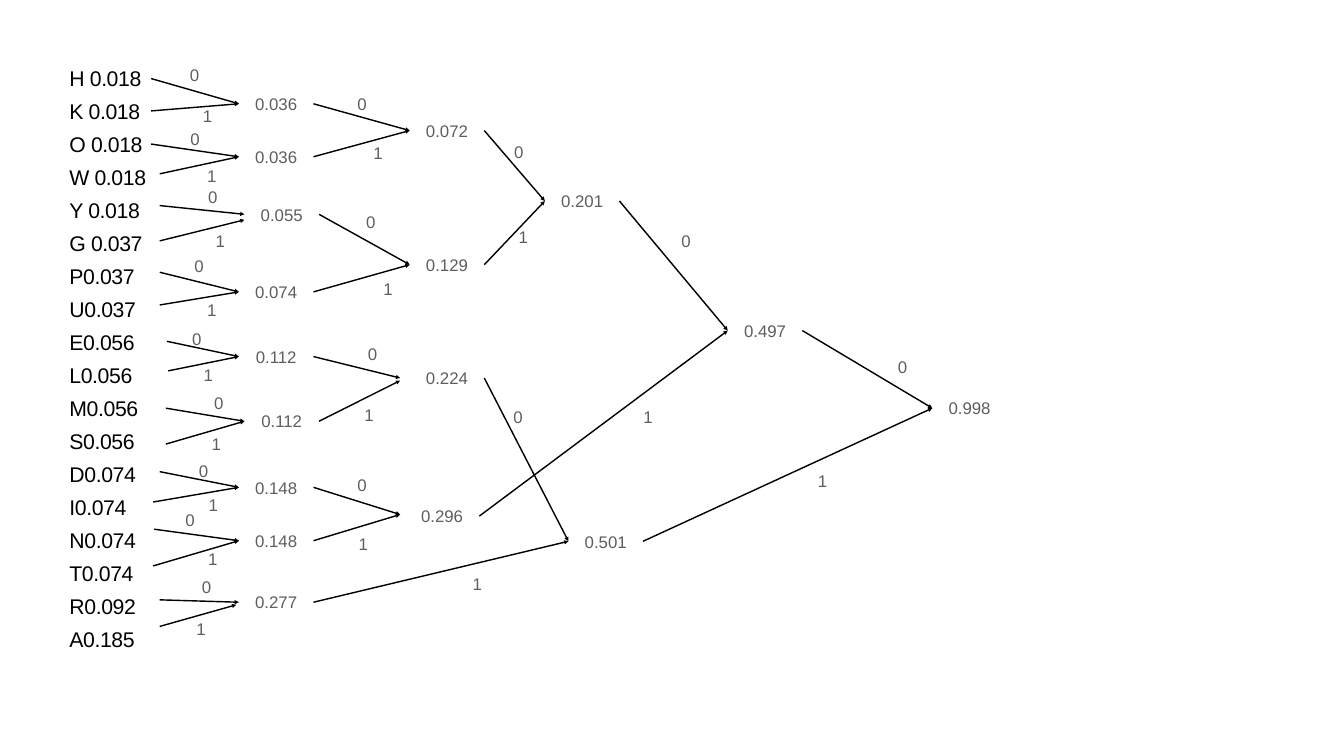
from lxml import etree
from pptx import Presentation
from pptx.dml.color import RGBColor
from pptx.enum.shapes import MSO_CONNECTOR
from pptx.enum.text import MSO_ANCHOR, MSO_AUTO_SIZE, PP_ALIGN
from pptx.oxml.ns import qn
from pptx.util import Cm, Pt

STRAIGHT = MSO_CONNECTOR.STRAIGHT
TOP, MIDDLE = MSO_ANCHOR.TOP, MSO_ANCHOR.MIDDLE
FIXED, GROW = MSO_AUTO_SIZE.NONE, MSO_AUTO_SIZE.SHAPE_TO_FIT_TEXT
LEFT, CENTER = PP_ALIGN.LEFT, PP_ALIGN.CENTER

NODE_W, BIT_W, BOX_H = 3.76, 0.76, 1.32

NODES = {
    "HK": ("0.036", 12.04, 5.23),
    "OW": ("0.036", 12.04, 7.9),
    "YG": ("0.055", 12.32, 10.8),
    "PU": ("0.074", 12.04, 14.71),
    "EL": ("0.112", 12.04, 17.97),
    "MS": ("0.112", 12.32, 21.23),
    "DI": ("0.148", 12.04, 24.56),
    "NT": ("0.148", 12.04, 27.25),
    "RA": ("0.277", 12.04, 30.35),
    "HW": ("0.072", 20.65, 6.58),
    "YU": ("0.129", 20.65, 13.34),
    "ES": ("0.224", 20.65, 19.05),
    "DT": ("0.296", 20.4, 26.01),
    "HU": ("0.201", 27.46, 10.13),
    "EA": ("0.501", 28.65, 27.28),
    "HT": ("0.497", 36.68, 16.66),
    "ALL": ("0.998", 46.99, 20.57),
}

LEAVES = [
    ("H 0.018", (7.62, 3.96), (9.8, 3.78)),
    ("K 0.018", (7.62, 5.59), (10.46, 5.84)),
    ("O 0.018", (7.62, 7.26), (9.83, 7.01)),
    ("W 0.018", (8.05, 8.76), (10.67, 8.84)),
    ("Y 0.018", (8.05, 10.36), (10.72, 9.91)),
    ("G 0.037", (8.05, 12.14), (11.1, 12.12)),
    ("P0.037", (8.05, 13.72), (10.03, 13.41)),
    ("U0.037", (8.05, 15.37), (10.67, 15.6)),
    ("E0.056", (8.41, 17.2), (9.91, 17.09)),
    ("L0.056", (8.48, 18.69), (10.49, 18.9)),
    ("M0.056", (8.36, 20.57), (11.02, 20.29)),
    ("S0.056", (8.36, 22.38), (10.9, 22.35)),
    ("D0.074", (8.05, 23.77), (10.26, 23.72)),
    ("I0.074", (7.72, 25.3), (10.74, 25.43)),
    ("N0.074", (7.77, 26.67), (9.58, 26.21)),
    ("T0.074", (7.72, 28.52), (10.72, 28.17)),
    ("R0.092", (8.05, 30.23), (10.41, 29.59)),
    ("A0.185", (8.05, 31.57), (10.13, 31.67)),
]

JOINS = [
    ("HK", "HW", (18.24, 5.23)),
    ("OW", "HW", (19.05, 7.7)),
    ("YG", "YU", (18.69, 11.2)),
    ("PU", "YU", (19.56, 14.55)),
    ("EL", "ES", (18.77, 17.81)),
    ("MS", "ES", (18.59, 20.88)),
    ("DI", "DT", (18.24, 24.43)),
    ("NT", "DT", (18.31, 27.43)),
    ("HW", "HU", (26.14, 7.65)),
    ("YU", "HU", (26.37, 11.94)),
    ("ES", "EA", (26.11, 21.01)),
    ("RA", "EA", (24.05, 29.41)),
    ("HU", "HT", (34.57, 12.14)),
    ("DT", "HT", (32.66, 21.01)),
    ("HT", "ALL", (45.49, 18.47)),
    ("EA", "ALL", (41.45, 24.23)),
]

SHIFTS = {
    ("G", "YG"): (0, 0.28),
    ("A", "RA"): (-0.13, 0.13),
    ("EL", "ES"): (-0.48, 0),
    ("MS", "ES"): (-0.48, 0.13),
    ("DI", "DT"): (-0.23, -0.08),
    ("NT", "DT"): (-0.23, -0.08),
}


def tint(code):
    return RGBColor.from_string(code)


def write(frame, text, font="Arial", size=24, color="5E5E5E", align=CENTER,
          anchor=MIDDLE, wrap=True, fit=GROW, line=1.0, before=0, track=0):
    frame.word_wrap, frame.auto_size = wrap, fit
    frame.vertical_anchor = anchor
    frame.margin_left = frame.margin_right = Cm(0.15)
    frame.margin_top = frame.margin_bottom = Cm(0.15)
    frame.text = text
    for para in frame.paragraphs:
        para.alignment = align
        para.line_spacing = line
        para.space_before = Pt(before)
        for run in para.runs:
            run.font.name = font
            run.font.size = Pt(size)
            run.font.color.rgb = tint(color)
            if track:
                run._r.get_or_add_rPr().set("spc", str(track))


class Board:
    def __init__(self, deck):
        self.slide = deck.slides.add_slide(deck.slide_layouts[2])
        title = self.slide.shapes.title.element
        title.getparent().remove(title)
        self.ink, self.width = "000000", 2

    def list(self, rows, x, y, w, h):
        body = self.slide.placeholders[1]
        body.left, body.top = Cm(x), Cm(y)
        body.width, body.height = Cm(w), Cm(h)
        write(body.text_frame, "\n".join(rows), size=30.3, color=self.ink,
              align=LEFT, anchor=TOP, fit=FIXED, line=0.8, before=18,
              track=-60)

    def label(self, text, x, y, w, wrap=True):
        box = self.slide.shapes.add_textbox(
            Cm(x), Cm(y - BOX_H / 2), Cm(w), Cm(BOX_H))
        write(box.text_frame, text, wrap=wrap)

    def arrow(self, start, end):
        link = self.slide.shapes.add_connector(
            STRAIGHT, *[Cm(n) for n in (*start, *end)])
        link.line.color.rgb = tint(self.ink)
        link.line.width = Pt(self.width)
        tail = etree.SubElement(link.line._get_or_add_ln(), qn("a:tailEnd"))
        tail.set("type", "triangle")
        etree.SubElement(link._element.spPr, qn("a:effectLst"))


deck = Presentation()
deck.slide_width, deck.slide_height = Cm(67.74), Cm(38.1)
board = Board(deck)
board.list([leaf[0] for leaf in LEAVES], 3.35, 3.4, 5.13, 30.56)

for text, x, y in NODES.values():
    board.label(text, x, y, NODE_W)

pairs = list(NODES)
edges = [(text[0], pairs[i // 2], start, spot)
         for i, (text, start, spot) in enumerate(LEAVES)]
for source, target, spot in JOINS:
    text, x, y = NODES[source]
    edges.append((source, target, (x + NODE_W, y), spot))

for i, (source, target, start, spot) in enumerate(edges):
    text, x, y = NODES[target]
    dx, dy = SHIFTS.get((source, target), (0, 0))
    board.arrow(start, (x + dx, y + dy))
    board.label(str(i % 2), spot[0] - BIT_W / 2, spot[1], BIT_W, wrap=False)

deck.save("out.pptx")
